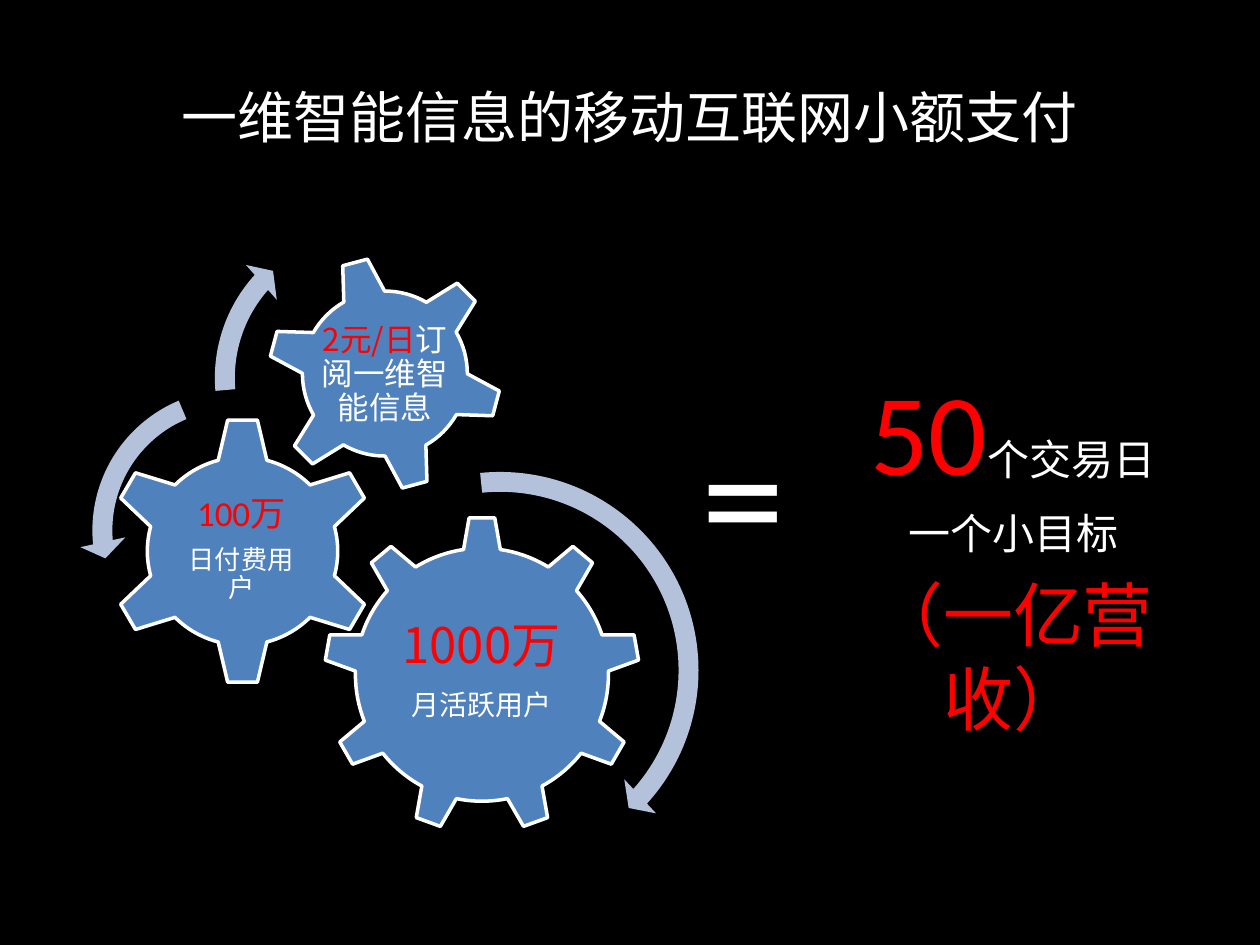
"""Build a slide of three linked gears that add up to a revenue target."""
import pptx
import pptx.dml.color
import pptx.enum.shapes
import pptx.enum.text
import pptx.oxml
import pptx.oxml.ns
import pptx.util
from pptx.util import Inches

RGBColor = pptx.dml.color.RGBColor
SHAPE = pptx.enum.shapes.MSO_SHAPE
ALIGN = pptx.enum.text.PP_ALIGN
ANCHOR = pptx.enum.text.MSO_ANCHOR
qn = pptx.oxml.ns.qn

BLACK = RGBColor(0x00, 0x00, 0x00)
WHITE = RGBColor(0xFF, 0xFF, 0xFF)
RED = RGBColor(0xFF, 0x00, 0x00)
GEAR_BLUE = RGBColor(0x4F, 0x81, 0xBD)
ARROW_BLUE = RGBColor(0xB3, 0xC1, 0xDB)
CJK = "Noto Sans CJK SC"
LATIN = "Calibri"

TITLE = [[("一维智能信息的移动互联网小额支付", 32, CJK, WHITE)]]
GEARS = [
    dict(kind=SHAPE.GEAR_9, at=(2.57, 4.1, 2.51, 2.51), turn=0,
         label_at=(3.07, 4.68, 1.5, 1.29), inset=0.04,
         label=[[("1000万", 28, CJK, RED)],
                [("月活跃用户", 16, LATIN, WHITE)]]),
    dict(kind=SHAPE.GEAR_6, at=(0.85, 3.31, 2.15, 2.13), turn=0,
         label_at=(1.38, 3.84, 1.07, 1.05), inset=0.03,
         label=[[("100万", 20, LATIN, RED)],
                [("日付费用户", 15, LATIN, WHITE)]]),
    dict(kind=SHAPE.GEAR_6, at=(2.12, 2.03, 1.87, 1.87), turn=345,
         label_at=(2.52, 2.45, 1.07, 1.05), inset=0.03,
         label=[[("2元/日", 18, CJK, RED),
                 ("订阅一维智能信息", 18, LATIN, WHITE)]]),
]
ARROWS = [
    dict(kind=SHAPE.CIRCULAR_ARROW, at=(2.29, 3.64, 3.36, 3.36),
         band=4.7, angles=(4.98, 42, 264.21), head=5.5),
    dict(kind=SHAPE.LEFT_CIRCULAR_ARROW, at=(0.63, 2.99, 2.44, 2.44),
         band=6.5, angles=(7.17, 174.82, 247.3), head=7.5),
    dict(kind=SHAPE.CIRCULAR_ARROW, at=(1.6, 1.68, 2.64, 2.64),
         band=6, angles=(6.57, 221.9, 175.14), head=7),
]
RESULT = [
    [("50", 66, LATIN, RED), ("个交易日", 24, LATIN, WHITE)],
    [("一个小目标", 24, LATIN, WHITE)],
    [("（一亿营收）", 40, CJK, RED)],
]
EQUALS = [[("=", 96, LATIN, WHITE)]]


def inches(box):
    return [Inches(length) for length in box]


def set_percent_spacing(paragraph, side, percent):
    setattr(paragraph, {"spcBef": "space_before", "spcAft": "space_after"}[side],
            pptx.util.Pt(0))
    spacing = paragraph._p.pPr.find(qn(f"a:{side}"))
    spacing.remove(spacing[0])
    share = pptx.oxml.parse_xml(
        '<a:spcPct xmlns:a="http://schemas.openxmlformats.org/drawingml/2006/main"'
        f' val="{percent * 1000}"/>')
    spacing.append(share)


def write(frame, paragraphs, align=ALIGN.CENTER, anchor=ANCHOR.TOP, wrap=True,
          inset=None, line_spacing=None, before=0, after=0):
    frame.word_wrap = wrap
    frame.vertical_anchor = anchor
    if inset is not None:
        frame.margin_left = frame.margin_right = Inches(inset)
        frame.margin_top = frame.margin_bottom = Inches(inset)
    for index, runs in enumerate(paragraphs):
        paragraph = frame.add_paragraph() if index else frame.paragraphs[0]
        paragraph.alignment = align
        paragraph.line_spacing = line_spacing
        for side, percent in (("spcBef", before), ("spcAft", after)):
            if percent:
                set_percent_spacing(paragraph, side, percent)
        for words, size, face, colour in runs:
            run = paragraph.add_run()
            run.text = words
            run.font.size = pptx.util.Pt(size)
            run.font.name = face
            run.font.color.rgb = colour
            east_asian = run._r.rPr.makeelement(qn("a:ea"), {"typeface": CJK})
            run._r.rPr.find(qn("a:latin")).addnext(east_asian)


def add_filled(shapes, kind, box, fill, outline=None):
    shape = shapes.add_shape(kind, *inches(box))
    shape.shadow.inherit = False
    shape.fill.solid()
    shape.fill.fore_color.rgb = fill
    if outline is None:
        shape.line.fill.background()
    else:
        shape.line.color.rgb = outline
        shape.line.width = pptx.util.Pt(2)
    return shape


def main():
    deck = pptx.Presentation()
    deck.slide_width, deck.slide_height = Inches(10), Inches(7.5)
    slide = deck.slides.add_slide(deck.slide_layouts[6])
    slide.background.fill.solid()
    slide.background.fill.fore_color.rgb = BLACK

    heading = add_filled(slide.shapes, SHAPE.RECTANGLE, (0.5, 0.3, 9, 1.25), BLACK, BLACK)
    write(heading.text_frame, TITLE, anchor=ANCHOR.MIDDLE)

    gearwork = slide.shapes.add_group_shape().shapes
    for gear in GEARS:
        wheel = add_filled(gearwork, gear["kind"], gear["at"], GEAR_BLUE, WHITE)
        wheel.rotation = gear["turn"]
        label = gearwork.add_textbox(*inches(gear["label_at"]))
        write(label.text_frame, gear["label"], anchor=ANCHOR.MIDDLE,
              inset=gear["inset"], line_spacing=0.9, after=35)
    for arrow in ARROWS:
        sweep = add_filled(gearwork, arrow["kind"], arrow["at"], ARROW_BLUE)
        settings = [arrow["band"] / 100, *(angle * 0.6 for angle in arrow["angles"]),
                    arrow["head"] / 100]
        for index, setting in enumerate(settings):
            sweep.adjustments[index] = setting

    result = slide.shapes.add_textbox(*inches((6.34, 2.81, 3.4, 2.56)))
    write(result.text_frame, RESULT, before=20)
    equals = slide.shapes.add_textbox(*inches((5.47, 3.04, 0.87, 1.72)))
    write(equals.text_frame, EQUALS, align=ALIGN.LEFT, wrap=False)

    deck.save("out.pptx")


if __name__ == "__main__":
    main()
